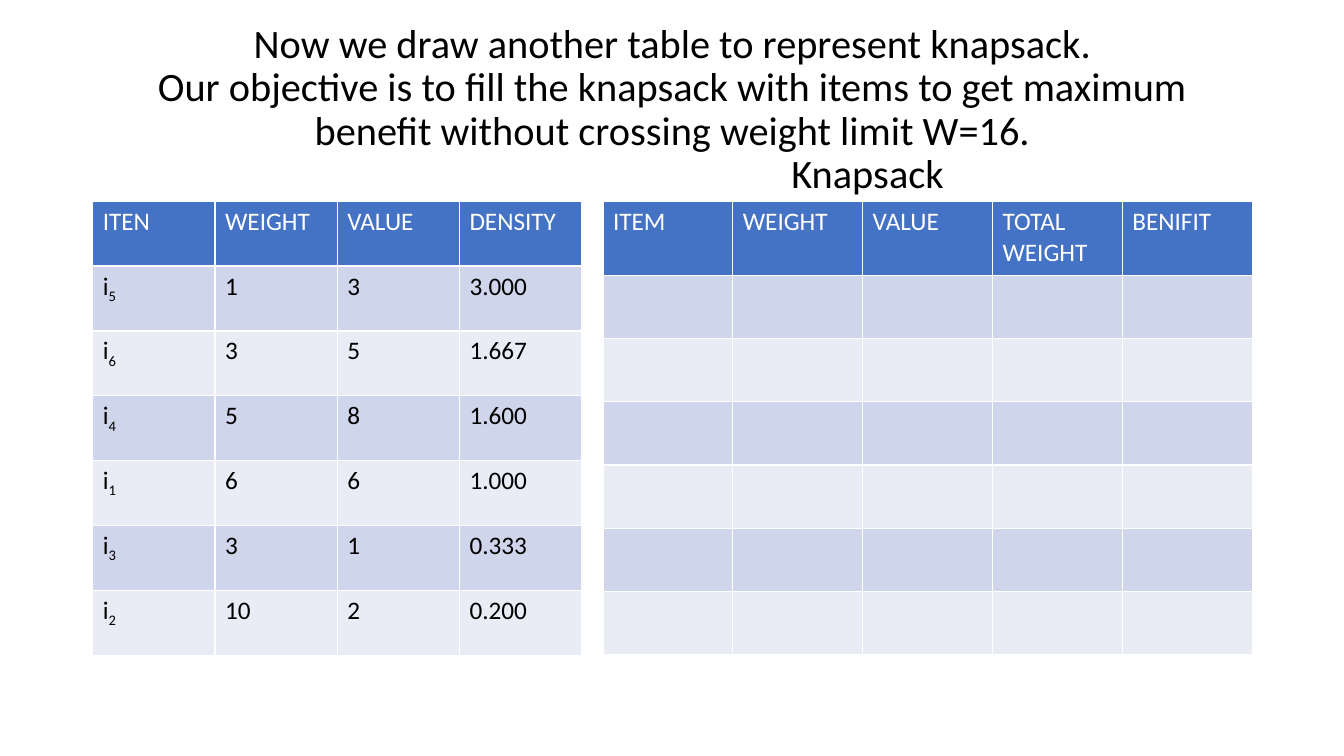
from pptx import Presentation
from pptx.dml.color import RGBColor
from pptx.enum.text import MSO_ANCHOR, PP_ALIGN
from pptx.util import Inches, Pt

MIDDLE = MSO_ANCHOR.MIDDLE
CENTER = PP_ALIGN.CENTER

FONT = "Calibri"
BLACK = RGBColor(0x00, 0x00, 0x00)
WHITE = RGBColor(0xFF, 0xFF, 0xFF)
HEADER_BLUE = RGBColor(0x44, 0x72, 0xC4)
BANDS = (RGBColor(0xE9, 0xEB, 0xF5), RGBColor(0xCF, 0xD5, 0xEA))

HEADING = [
    "Now we draw another table to represent knapsack.",
    "Our objective is to fill the knapsack with items to get maximum "
    "benefit without crossing weight limit W=16.",
    "Knapsack",
]
KNAPSACK_INDENT = 3.87

ITEMS = [
    ("ITEN", "WEIGHT", "VALUE", "DENSITY"),
    ("i5", "1", "3", "3.000"),
    ("i6", "3", "5", "1.667"),
    ("i4", "5", "8", "1.600"),
    ("i1", "6", "6", "1.000"),
    ("i3", "3", "1", "0.333"),
    ("i2", "10", "2", "0.200"),
]
KNAPSACK = [("ITEM", "WEIGHT", "VALUE", "TOTAL WEIGHT", "BENIFIT")] + [("",) * 5] * 6

TABLE_TOP, TABLE_HEIGHT = 2, 4.5
# rows, left, width, header height
TABLES = [
    (ITEMS, 0.92, 4.85, 0.64),
    (KNAPSACK, 5.98, 6.44, 0.73),
]


def style(paragraph, size, color):
    paragraph.font.name = FONT
    paragraph.font.size = Pt(size)
    paragraph.font.bold = False
    paragraph.font.color.rgb = color


def add_heading(slide):
    box = slide.shapes.add_textbox(Inches(0.92), Inches(0.37), Inches(11.5), Inches(1.45))
    frame = box.text_frame
    frame.word_wrap = True
    frame.vertical_anchor = MIDDLE
    frame.text = "\n".join(HEADING)
    for line in frame.paragraphs:
        line.alignment = CENTER
        line.line_spacing = 0.9
        style(line, 28.8, BLACK)
    # The last line is the caption of the right-hand table
    caption = frame.paragraphs[-1]
    caption.alignment = CENTER
    caption._p.get_or_add_pPr().set("marL", str(Inches(KNAPSACK_INDENT)))


def fill_cell(cell, text, row):
    cell.fill.solid()
    cell.fill.fore_color.rgb = BANDS[row % 2] if row else HEADER_BLUE
    paragraph = cell.text_frame.paragraphs[0]
    style(paragraph, 18, BLACK if row else WHITE)
    if text.startswith("i"):
        paragraph.add_run().text = text[0]
        subscript = paragraph.add_run()
        subscript.text = text[1:]
        subscript.font._element.set("baseline", "-25000")
    elif text:
        paragraph.add_run().text = text


def add_grid(slide, rows, left, width, header_height):
    table = slide.shapes.add_table(
        len(rows), len(rows[0]),
        Inches(left), Inches(TABLE_TOP), Inches(width), Inches(TABLE_HEIGHT),
    ).table
    body_height = (TABLE_HEIGHT - header_height) / (len(rows) - 1)
    for r, texts in enumerate(rows):
        table.rows[r].height = Inches(body_height if r else header_height)
        for c, text in enumerate(texts):
            fill_cell(table.cell(r, c), text, r)


def main():
    prs = Presentation()
    prs.slide_width, prs.slide_height = Inches(13.33), Inches(7.5)
    slide = prs.slides.add_slide(prs.slide_layouts[6])
    add_heading(slide)
    for grid in TABLES:
        add_grid(slide, *grid)
    prs.save("out.pptx")


if __name__ == "__main__":
    main()
